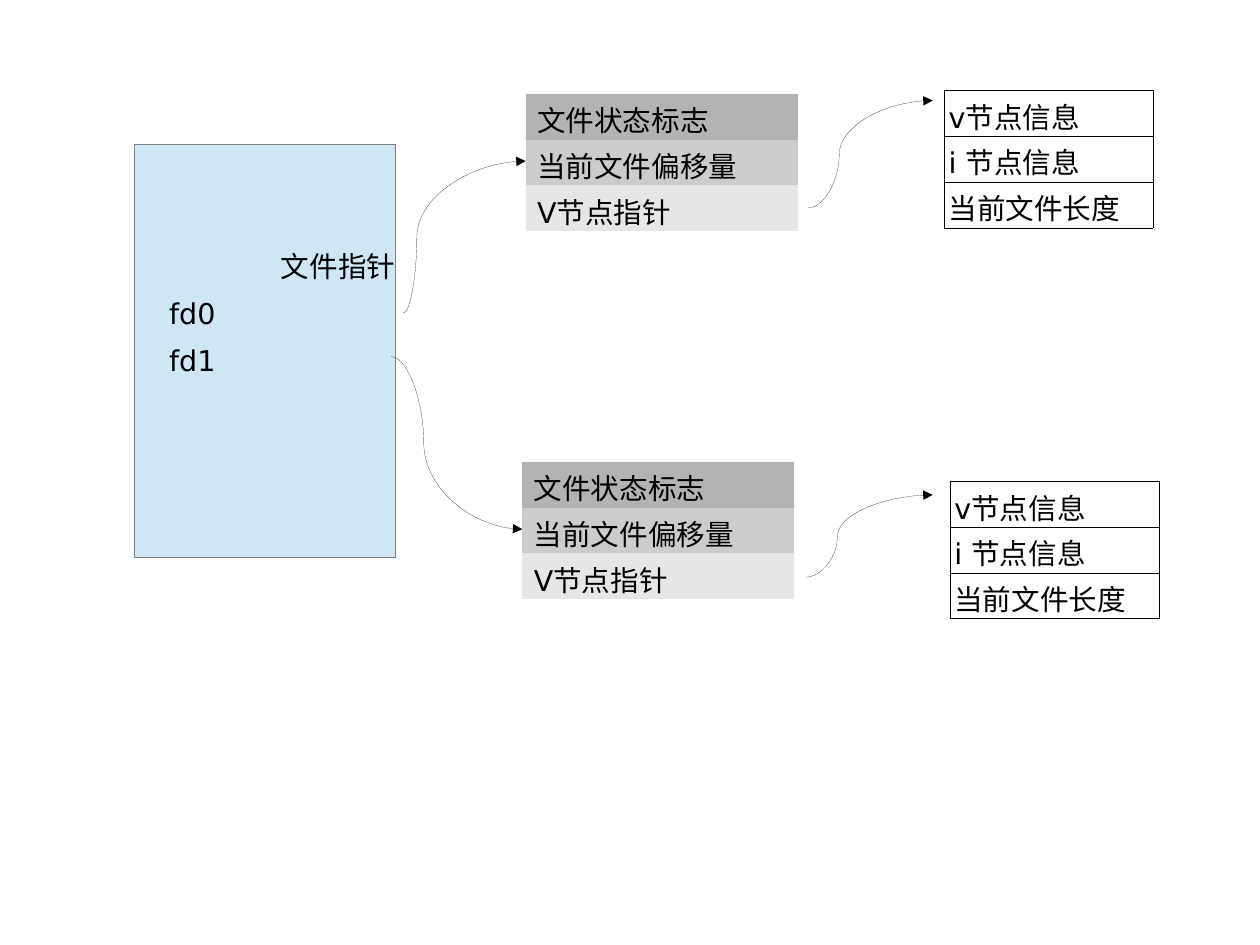
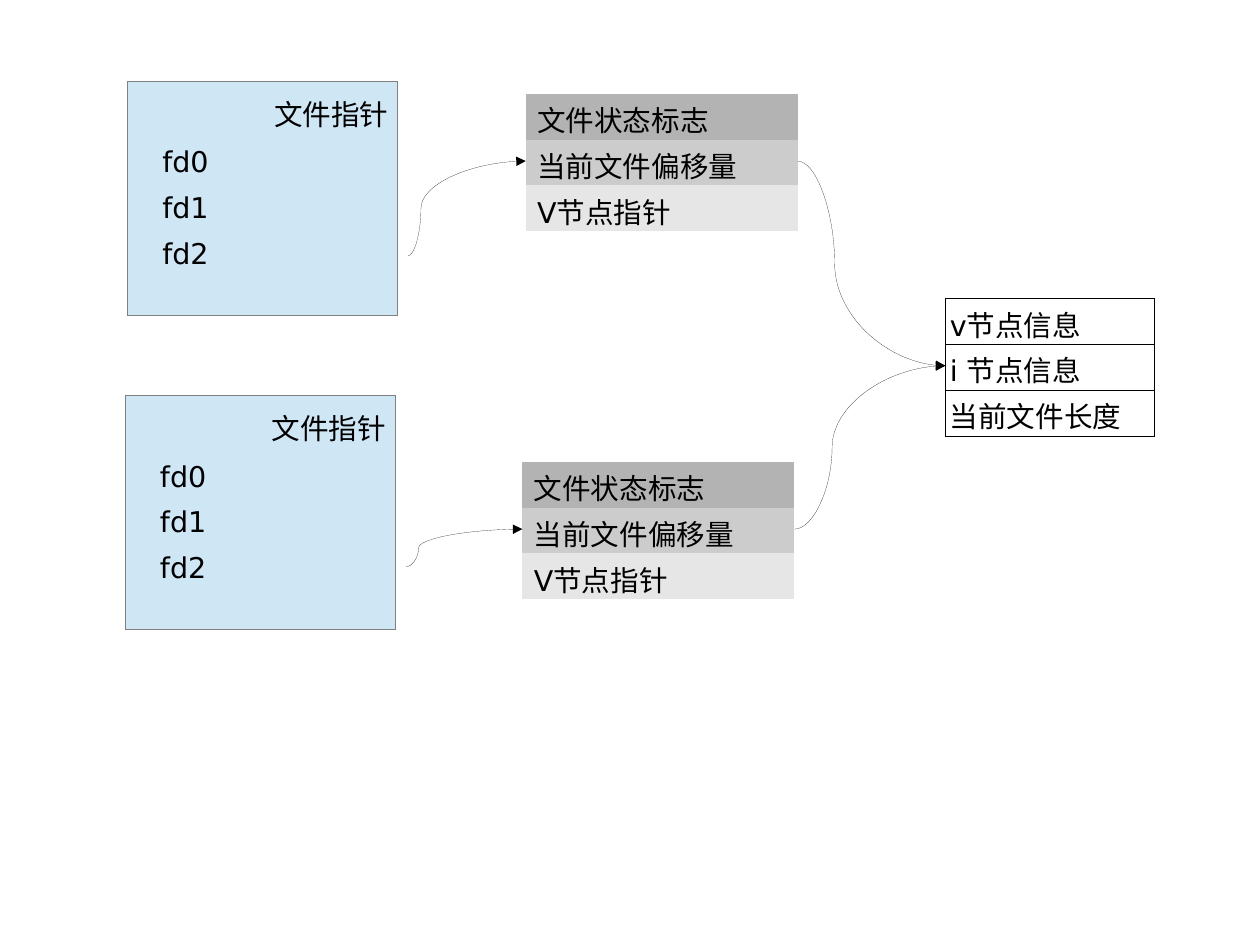
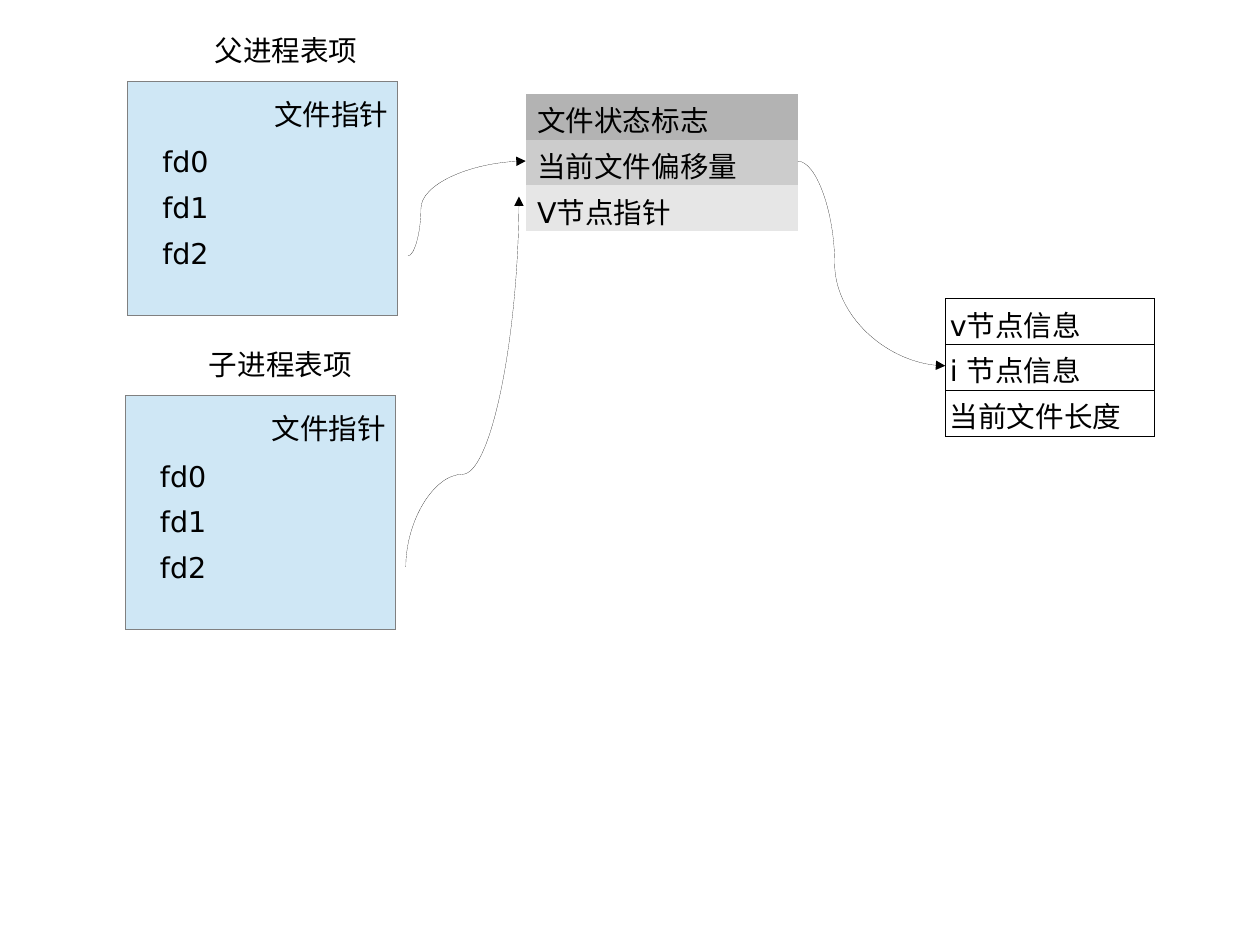
from lxml.etree import SubElement
from pptx import Presentation
from pptx.dml.color import RGBColor
from pptx.enum.shapes import MSO_CONNECTOR, MSO_SHAPE
from pptx.enum.text import MSO_AUTO_SIZE
from pptx.oxml.ns import qn
from pptx.util import Cm, Inches, Pt

BLACK = RGBColor(0x00, 0x00, 0x00)
PROCESS_BLUE = RGBColor(0xCF, 0xE7, 0xF5)
PROCESS_EDGE = RGBColor(0x80, 0x80, 0x80)
FILE_GREYS = [RGBColor(0xB3, 0xB3, 0xB3), RGBColor(0xCC, 0xCC, 0xCC),
              RGBColor(0xE6, 0xE6, 0xE6)]

FONT = "DejaVu Sans"
FONT_SIZE = Pt(18)
GRID_WIDTH = Pt(0.06)
ROW_HEIGHT = 0.39

FILE_ROWS = [["文件状态标志"], ["当前文件偏移量"], ["V节点指针"]]
NODE_ROWS = [["v节点信息"], ["i 节点信息"], ["当前文件长度"]]
FILE_SPOTS = [(4.6, 0.82), (4.57, 4.04)]
PROCESS_SPOTS = [(1.12, 0.71), (1.1, 3.46)]
SHARED_NODE_SPOT = (8.27, 2.61)


def write(text_frame, text):
    text_frame.text = text
    for run in text_frame.paragraphs[0].runs:
        run.font.name = FONT
        run.font.size = FONT_SIZE
        run.font.color.rgb = BLACK
        SubElement(run.font._element, qn("a:ea"), typeface=FONT)


def set_hairline(line, color):
    line.color.rgb = color
    outline = line._get_or_add_ln()
    outline.set("w", "0")
    return outline


def add_label(slide, left, top, width, text, wrap=False):
    label = slide.shapes.add_textbox(
        Inches(left), Inches(top), Inches(width), Inches(ROW_HEIGHT))
    write(label.text_frame, text)
    label.text_frame.word_wrap = wrap
    label.text_frame.auto_size = MSO_AUTO_SIZE.SHAPE_TO_FIT_TEXT


def set_borders(cell, color):
    properties = cell._tc.get_or_add_tcPr()
    for side in ("lnL", "lnR", "lnT", "lnB"):
        border = SubElement(properties, qn(f"a:{side}"), w=str(GRID_WIDTH))
        if color is None:
            SubElement(border, qn("a:noFill"))
        else:
            fill = SubElement(border, qn("a:solidFill"))
            SubElement(fill, qn("a:srgbClr"), val=str(color))


def add_grid(slide, left, top, width, rows, side_margin, top_margin=0.1,
             fills=None, border=None):
    table = slide.shapes.add_table(
        len(rows), len(rows[0]), Inches(left), Inches(top),
        Inches(width), Inches(ROW_HEIGHT * len(rows))).table
    table.first_row = False
    table.horz_banding = False
    for row_index, texts in enumerate(rows):
        for column_index, text in enumerate(texts):
            cell = table.cell(row_index, column_index)
            cell.margin_left = cell.margin_right = Inches(side_margin)
            cell.margin_top = Inches(top_margin)
            cell.margin_bottom = Inches(0.1 - top_margin)
            set_borders(cell, border)
            if fills:
                cell.fill.solid()
                cell.fill.fore_color.rgb = fills[row_index]
            else:
                cell.fill.background()
            write(cell.text_frame, text)


def add_file_entry(slide, left, top):
    add_grid(slide, left, top, 2.38, FILE_ROWS, 0.1, fills=FILE_GREYS)


def add_node_entry(slide, left, top):
    add_grid(slide, left, top, 1.83, NODE_ROWS, 0.04, border=BLACK)


def add_process_entry(slide, left, top, descriptors, width=2.36, height=2.05,
                      heading_offset=0.09):
    panel = slide.shapes.add_shape(
        MSO_SHAPE.RECTANGLE, Inches(left), Inches(top),
        Inches(width), Inches(height))
    panel.shadow.inherit = False
    panel.fill.solid()
    panel.fill.fore_color.rgb = PROCESS_BLUE
    set_hairline(panel.line, PROCESS_EDGE)
    heading_top = top + heading_offset
    rows = [[descriptor, ""] for descriptor in descriptors]
    add_grid(slide, left + 0.26, heading_top + 0.43, 1.98, rows, 0.04,
             top_margin=0.05)
    add_label(slide, left + 1.18, heading_top, 1.32, "文件指针", wrap=True)


def add_pointer(slide, start, end, bend=0.25, upright=False):
    if upright:
        center_x = (start[0] + end[0]) / 2
        center_y = (start[1] + end[1]) / 2
        start, end = [(center_x + y - center_y, center_y - x + center_x)
                      for x, y in (start, end)]
    pointer = slide.shapes.add_connector(
        MSO_CONNECTOR.CURVE, *[Inches(value) for value in (*start, *end)])
    outline = set_hairline(pointer.line, BLACK)
    SubElement(outline, qn("a:tailEnd"), type="triangle")
    properties = pointer._element.spPr
    if upright:
        properties.find(qn("a:xfrm")).set("rot", "5400000")
    adjustments = properties.find(qn("a:prstGeom")).find(qn("a:avLst"))
    SubElement(adjustments, qn("a:gd"), name="adj1",
               fmla=f"val {round(bend * 100000)}")
    SubElement(properties, qn("a:effectLst"))


def build_separate_files(slide):
    add_process_entry(slide, 1.18, 1.26, ["fd0", "fd1", ""],
                      width=2.28, height=3.62, heading_offset=0.87)
    for spot in FILE_SPOTS:
        add_file_entry(slide, *spot)
    for spot in [(8.26, 0.79), (8.31, 4.21)]:
        add_node_entry(slide, *spot)
    add_pointer(slide, (3.53, 2.74), (4.6, 1.41), bend=0.11)
    add_pointer(slide, (3.42, 3.12), (4.57, 4.63))
    add_pointer(slide, (7.07, 1.82), (8.16, 0.88))
    add_pointer(slide, (7.05, 5.05), (8.16, 4.33))


def build_shared_node_base(slide):
    for spot in PROCESS_SPOTS:
        add_process_entry(slide, *spot, ["fd0", "fd1", "fd2"])
    add_file_entry(slide, *FILE_SPOTS[0])
    add_node_entry(slide, *SHARED_NODE_SPOT)
    add_pointer(slide, (3.57, 2.24), (4.6, 1.41), bend=0.11)
    add_pointer(slide, (6.98, 1.41), (8.27, 3.2))


def build_shared_node(slide):
    build_shared_node_base(slide)
    add_file_entry(slide, *FILE_SPOTS[1])
    add_pointer(slide, (3.55, 4.96), (4.57, 4.63), bend=0.11)
    add_pointer(slide, (6.95, 4.63), (8.27, 3.2))


def build_parent_and_child(slide):
    build_shared_node_base(slide)
    add_pointer(slide, (3.55, 4.96), (4.54, 1.72), upright=True)
    add_label(slide, 1.78, 0.24, 1.45, "父进程表项")
    add_label(slide, 1.73, 2.99, 1.45, "子进程表项")


def main():
    presentation = Presentation()
    presentation.slide_width = Cm(28)
    presentation.slide_height = Cm(21)
    blank_layout = presentation.slide_layouts[6]
    for build in (build_separate_files, build_shared_node,
                  build_parent_and_child):
        build(presentation.slides.add_slide(blank_layout))
    presentation.save("out.pptx")


if __name__ == "__main__":
    main()
